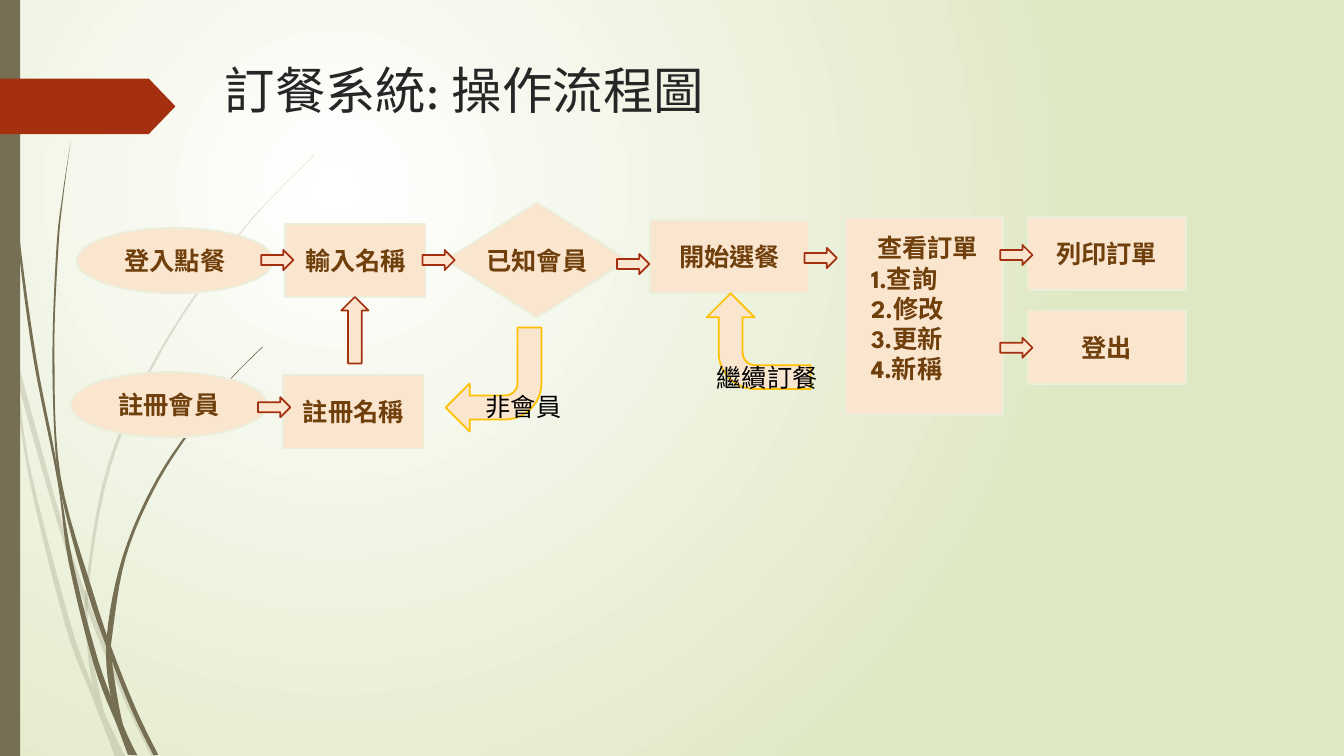
from lxml import etree
from pptx import Presentation
from pptx import util as u
from pptx.dml.color import RGBColor
from pptx.enum import shapes, text
from pptx.oxml.ns import qn

WHITE = RGBColor(0xFF, 0xFF, 0xFF)
MIST = RGBColor(0xDF, 0xE8, 0xC4)
OLIVE = RGBColor(0x76, 0x6F, 0x54)
RUST = RGBColor(0xA5, 0x30, 0x10)
PEACH = RGBColor(0xFA, 0xE5, 0xCF)
PALE = RGBColor(0xEA, 0xEF, 0xDB)
GOLD = RGBColor(0xFF, 0xC0, 0x00)
BROWN = RGBColor(0x6F, 0x3F, 0x0C)
CHARCOAL = RGBColor(0x26, 0x26, 0x26)
BLACK = RGBColor(0, 0, 0)
KIND = shapes.MSO_SHAPE
ALIGN = text.PP_ALIGN
ANCHOR = text.MSO_ANCHOR

FAINT_BLADES = [
    ([(0, 2.99), (0.11, 3.5), (0.28, 4.7), (0.65, 6.21), (0.92, 6.93), (1.14, 7.5)],
     [(1.24, 7.5), (1.05, 7.11), (0.93, 6.83), (0.7, 6.19), (0.31, 4.69), (0.17, 3.76),
      (0.09, 3.22), (0, 2.82)]),
    ([(0.14, 3.45), (0.17, 3.76), (0.58, 5.22), (0.84, 5.99), (1.23, 6.94), (1.5, 7.5)],
     [(1.55, 7.5), (1.27, 6.92), (0.92, 6.07), (0.62, 5.2), (0.14, 3.45)]),
    ([(3.12, 1.53), (2.68, 1.97), (2.28, 2.44), (1.58, 3.48), (1.07, 4.61), (0.85, 5.84),
      (0.87, 6.46), (0.93, 6.83), (1.05, 7.11)],
     [(1.03, 7.06), (0.91, 6.46), (0.88, 5.84), (1.1, 4.62), (1.6, 3.49), (2.29, 2.45),
      (2.68, 1.98), (3.12, 1.54)]),
]
DARK_BLADES = [
    ([(0.03, 0), (0.07, 1.1), (0.17, 2.33), (0.33, 3.55), (0.57, 4.77), (0.68, 5.57),
      (0.93, 6.59), (1.17, 7.22), (1.27, 7.49)],
     [(1.36, 7.49), (1.22, 7.19), (0.98, 6.57), (0.72, 5.56), (0.55, 4.53), (0.36, 3.55),
      (0.19, 2.32), (0.08, 1.09), (0.04, 0)]),
    ([(0.7, 1.41), (0.62, 1.93), (0.56, 2.45), (0.52, 3.49), (0.55, 4.49), (0.64, 5.05),
      (0.88, 5.92), (1.11, 6.56), (1.32, 7.08), (1.52, 7.49)],
     [(1.57, 7.49), (1.36, 7.06), (1.13, 6.49), (0.93, 5.9), (0.6, 4.72), (0.54, 3.49),
      (0.58, 2.45), (0.63, 1.93), (0.7, 1.41)]),
    ([(2.6, 3.44), (2.31, 3.73), (2.04, 4.05), (1.56, 4.74), (1.22, 5.51), (1.06, 6.31),
      (1.1, 6.91), (1.3, 7.49)],
     [(1.36, 7.49), (1.22, 7.19), (1.11, 6.56), (1.11, 6.33), (1.25, 5.52), (1.58, 4.76),
      (2.05, 4.06), (2.31, 3.74), (2.61, 3.44)]),
]
STEPS = [
    (KIND.OVAL, (0.76, 2.26, 1.95, 0.65), "登入點餐"),
    (KIND.RECTANGLE, (6.45, 2.18, 1.57, 0.73), "開始選餐"),
    (KIND.FLOWCHART_DECISION, (4.42, 2.01, 1.81, 1.14), "已知會員"),
    (KIND.RECTANGLE, (2.83, 2.22, 1.39, 0.73), "輸入名稱"),
    (KIND.RECTANGLE, (10.19, 2.15, 1.57, 0.73), "列印訂單"),
    (KIND.OVAL, (0.7, 3.69, 1.95, 0.65), "註冊會員"),
    (KIND.RECTANGLE, (2.81, 3.72, 1.39, 0.73), "註冊名稱"),
    (KIND.RECTANGLE, (10.19, 3.08, 1.57, 0.73), "登出"),
]
ARROWS = [(6.12, 2.52), (4.19, 2.48), (7.98, 2.46), (9.92, 2.43), (2.59, 2.48),
          (2.56, 3.94), (9.92, 3.35)]


def smooth(points, steps=6):
    padded = [points[0], *points, points[-1]]
    curve = [points[0]]
    for a, b, c, d in zip(padded, padded[1:], padded[2:], padded[3:]):
        for step in range(1, steps + 1):
            t = step / steps
            curve.append(tuple(
                q + t / 2 * (r - p + t * (2 * p - 5 * q + 4 * r - s + t * (3 * (q - r) + s - p)))
                for p, q, r, s in zip(a, b, c, d)))
    return curve


class FlowPage:
    font = "League Spartan"

    def __init__(self, deck):
        self.page = deck.slides.add_slide(deck.slide_layouts[6])

    def backdrop(self, centre, edge):
        fill = self.page.background.fill
        fill.gradient()
        for stop, colour, position in zip(fill.gradient_stops, (centre, edge), (0, 1)):
            stop.color.rgb = colour
            stop.position = position
        gradient = self.page.element.find(".//" + qn("a:gradFill"))
        gradient.remove(gradient.find(qn("a:lin")))
        radial = etree.SubElement(gradient, qn("a:path"))
        radial.set("path", "circle")
        focus = etree.SubElement(radial, qn("a:fillToRect"))
        for side, value in {"l": 50, "t": 50, "r": 100, "b": 100}.items():
            focus.set(side, str(value * 1000))

    def paint(self, shape, fill, line=None):
        shape.shadow.inherit = False
        shape.fill.solid()
        shape.fill.fore_color.rgb = fill
        if line is None:
            shape.line.fill.background()
        else:
            shape.line.color.rgb = line
            shape.line.width = u.Pt(1.25)
        return shape

    def shape(self, kind, place, fill, line=None, turn=0, adjust=()):
        shape = self.page.shapes.add_shape(kind, *map(u.Inches, place))
        shape.rotation = turn
        for index, value in enumerate(adjust):
            shape.adjustments[index] = value
        return self.paint(shape, fill, line)

    def blade(self, down, up, opacity=100):
        points = [tuple(map(u.Inches, point)) for point in smooth(down) + smooth(up)]
        builder = self.page.shapes.build_freeform(*points[0])
        builder.add_line_segments(points[1:], close=True)
        shape = self.paint(builder.convert_to_shape(), OLIVE)
        if opacity < 100:
            colour = shape.element.spPr.find(".//" + qn("a:srgbClr"))
            etree.SubElement(colour, qn("a:alpha")).set("val", str(opacity * 1000))

    def put_text(self, box, lines, size, colour, aligns, bold=False, **frame_format):
        frame = box.text_frame
        for name, value in frame_format.items():
            setattr(frame, name, value)
        for index, (line, align) in enumerate(zip(lines, aligns)):
            para = frame.add_paragraph() if index else frame.paragraphs[0]
            para.alignment = align
            span = para.add_run()
            span.text = line
            span.font.color.rgb = colour
            for name, value in {"name": self.font, "size": u.Pt(size), "bold": bold}.items():
                setattr(span.font, name, value)
            letters = span._r.get_or_add_rPr()
            letters.set("lang", "zh-TW")
            etree.SubElement(letters, qn("a:ea")).set("typeface", self.font)

    def label(self, place, line, size, colour, anchor=ANCHOR.TOP):
        box = self.page.shapes.add_textbox(*map(u.Inches, place))
        self.put_text(box, [line], size, colour, [ALIGN.LEFT],
                      word_wrap=True, vertical_anchor=anchor)

    def step(self, kind, place, line):
        box = self.shape(kind, place, PEACH, PALE)
        self.put_text(box, [line], 18, BROWN, [ALIGN.CENTER], True,
                      word_wrap=False, vertical_anchor=ANCHOR.MIDDLE)

    def order_list(self, place, lines):
        box = self.shape(KIND.RECTANGLE, place, PEACH, PALE)
        aligns = [ALIGN.CENTER] + [ALIGN.LEFT] * (len(lines) - 1)
        self.put_text(box, lines, 18, BROWN, aligns, True,
                      word_wrap=True, vertical_anchor=ANCHOR.TOP, margin_left=u.Inches(0.26),
                      margin_right=u.Inches(0.19), margin_top=u.Inches(0.16))

    def arrow(self, place, turn=0):
        self.shape(KIND.RIGHT_ARROW, place, PEACH, RUST, turn)

    def bent_arrow(self, left, top, turn):
        self.shape(KIND.BENT_ARROW, (left, top, 0.95, 1.03), PEACH, GOLD, turn,
                   (0.25, 0.25, 0.25, 0.38))


def main():
    deck = Presentation()
    deck.slide_width, deck.slide_height = u.Inches(13.33), u.Inches(7.5)
    flow = FlowPage(deck)
    flow.backdrop(WHITE, MIST)
    for blades, opacity in ((FAINT_BLADES, 20), (DARK_BLADES, 100)):
        for down, up in blades:
            flow.blade(down, up, opacity)
    flow.shape(KIND.RECTANGLE, (0, 0, 0.2, 7.5), OLIVE)
    flow.shape(KIND.PENTAGON, (0, 0.78, 1.74, 0.55), RUST, adjust=(0.48,))
    flow.label((2.13, 0.51, 6.02, 0.75), "訂餐系統: 操作流程圖", 36, CHARCOAL, ANCHOR.MIDDLE)
    for kind, place, line in STEPS:
        flow.step(kind, place, line)
    flow.order_list((8.38, 2.15, 1.57, 1.97),
                    ["查看訂單", "1.查詢", "2.修改", "3.更新", "4.新稱"])
    flow.bent_arrow(4.42, 3.25, 180)
    flow.label((4.72, 3.83, 1.34, 0.4), "非會員", 18, BLACK)
    for left, top in ARROWS:
        flow.arrow((left, top, 0.32, 0.2))
    flow.arrow((3.19, 3.14, 0.66, 0.27), 270)
    flow.bent_arrow(7.05, 2.87, 270)
    flow.label((7.01, 3.55, 1.35, 0.4), "繼續訂餐", 18, BLACK)
    deck.save("out.pptx")


if __name__ == "__main__":
    main()
